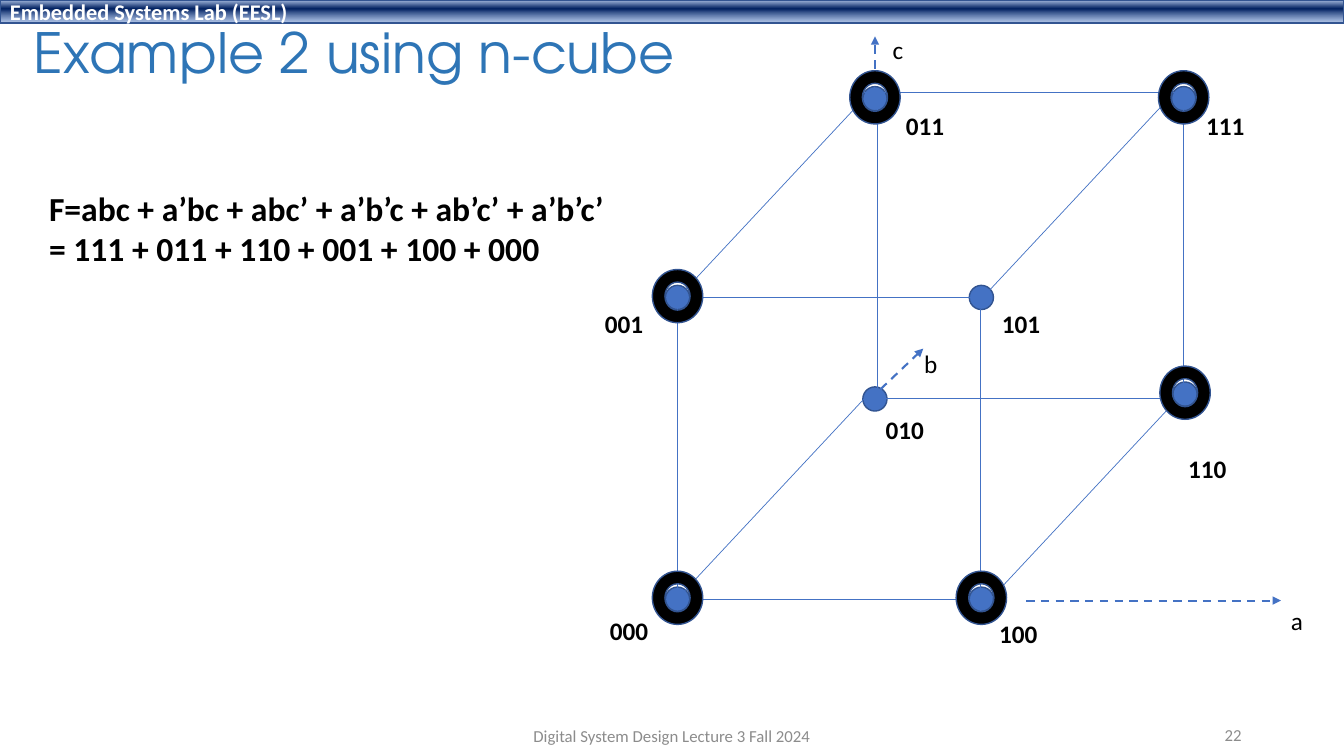
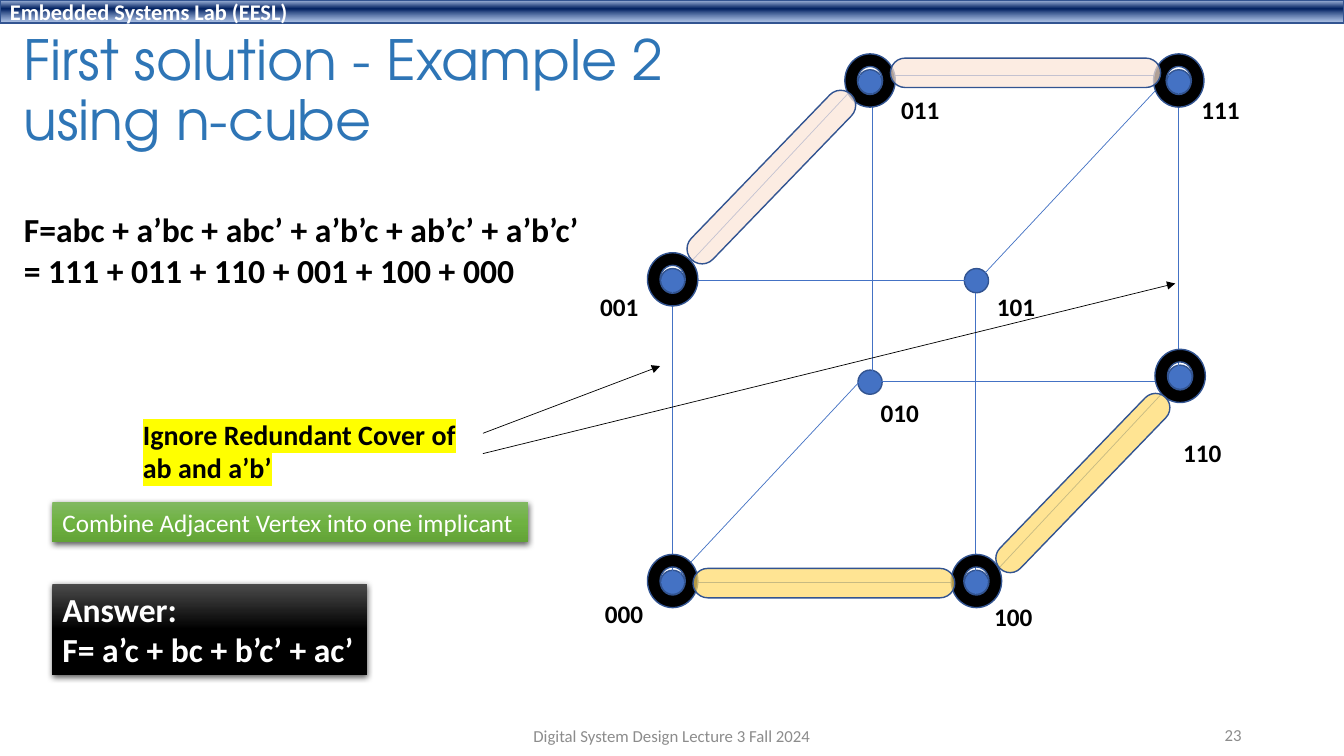
import pptx
import pptx.dml.color
import pptx.enum.dml
import pptx.enum.shapes
import pptx.enum.text
import pptx.oxml.ns
import pptx.util
from lxml import etree

Pt = pptx.util.Pt
qn = pptx.oxml.ns.qn
SHAPE = pptx.enum.shapes.MSO_SHAPE
ALIGN = pptx.enum.text.PP_ALIGN
ANCHOR = pptx.enum.text.MSO_ANCHOR

WIDTH, HEIGHT = 960, 540
BLUE, OUTLINE, TITLE_BLUE, GREY = "4472C4", "325491", "2E75B6", "8C8C8C"
BLACK, WHITE, YELLOW = "000000", "FFFFFF", "FFFF00"
PEACH, GOLD = "FBE5D6", "FFD966"
BODY_FONT, TITLE_FONT = "Calibri", "TeX Gyre Adventor"
BAND_STOPS = [(2, "ABC0E4", 100), (38, "002060", 100), (93, "7E9ED6", 64)]
GREEN_STOPS = [(0, "81B861", 100), (50, "6FB242", 100), (100, "62A336", 100)]
BLACK_STOPS = [(0, "4B4B4B", 100), (50, BLACK, 100), (100, BLACK, 100)]

FORMULA = ["F=abc + a’bc + abc’ + a’b’c + ab’c’ + a’b’c’",
           "= 111 + 011 + 110 + 001 + 100 + 000"]

# Cube geometry, relative to the top left of its box
VERTICES = {  # code: (dot centre, label corner)
    "000": ((59, 378), (3.5, 386)),
    "100": ((276, 378), (281.5, 388)),
    "001": ((59, 162.5), (0, 166.5)),
    "101": ((276, 162.5), (283.5, 166.5)),
    "011": ((200, 20.5), (215, 25.5)),
    "111": ((420.5, 20.5), (429.5, 25.5)),
    "010": ((200, 235), (200.5, 242.5)),
    "110": ((421.5, 231.5), (416.5, 270.5)),
}
MINTERMS = ["001", "000", "100", "110", "111", "011"]
EDGES = [  # (step along the axis, starting points)
    ((233.5, 0), [(50, 162.5), (50, 378), (191.5, 16), (201.5, 234.5)]),
    ((0, 215.5), [(59, 162.5), (275, 171), (201.5, 16), (420.5, 16)]),
    ((-135, 144.5), [(200, 12), (411.5, 18.5), (416.5, 234.5), (193.5, 233.5)]),
]
AXES = {  # name: (arrow start, arrow end, label corner)
    "a": ((308, 379), (490, 379), (490, 379)),
    "c": ((200, -1), (200, -24), (205.5, -29)),
    "b": ((204, 228), (234.5, 199), (228, 195.5)),
}
IMPLICANTS = [  # centre, size, rotation, colour
    ((129.5, 88.5), (164, 21.5), 314, PEACH),
    ((311, 14), (193, 21), 0, PEACH),
    ((352, 307), (170, 20.5), 314, GOLD),
    ((167, 378.5), (187, 21), 0, GOLD),
]


def rgb(color):
    return pptx.dml.color.RGBColor.from_string(color)


def add_color(parent, color, alpha=100):
    element = etree.SubElement(parent, qn("a:srgbClr"), val=color)
    if alpha < 100:
        etree.SubElement(element, qn("a:alpha"), val=str(alpha * 1000))


def write(shape, lines, size=18, color=BLACK, font=BODY_FONT, bold=False, align=ALIGN.LEFT,
          anchor=ANCHOR.TOP, wrap=False, highlight=None, spacing=None):
    frame = shape.text_frame
    frame.word_wrap = wrap
    frame.auto_size = pptx.enum.text.MSO_AUTO_SIZE.NONE
    frame.vertical_anchor = anchor
    for index, line in enumerate(lines):
        paragraph = frame.add_paragraph() if index else frame.paragraphs[0]
        paragraph.alignment = align
        paragraph.line_spacing = spacing
        run = paragraph.add_run()
        run.text = line
        run.font.size, run.font.name, run.font.bold = Pt(size), font, bold
        run.font.color.rgb = rgb(color)
    if highlight:
        for properties in shape.element.iter(qn("a:rPr")):
            marker = etree.Element(qn("a:highlight"))
            add_color(marker, highlight)
            properties.find(qn("a:solidFill")).addnext(marker)


def add_text(slide, left, top, width, height, lines, **formats):
    box = slide.shapes.add_textbox(Pt(left), Pt(top), Pt(width), Pt(height))
    write(box, lines, **formats)


def add_shape(slide, kind, left, top, width, height, fill=None, outline=OUTLINE):
    shape = slide.shapes.add_shape(kind, Pt(left), Pt(top), Pt(width), Pt(height))
    shape.shadow.inherit = False
    if fill:
        shape.fill.solid()
        shape.fill.fore_color.rgb = rgb(fill)
    if outline:
        shape.line.color.rgb = rgb(outline)
        shape.line.width = Pt(1)
    else:
        shape.line.fill.background()
    return shape


def set_gradient(shape, stops):
    shape.fill.gradient()
    shape.fill.gradient_angle = 270
    stop_list = next(shape.element.spPr.iter(qn("a:gsLst")))
    for stop in list(stop_list):
        stop_list.remove(stop)
    for position, color, alpha in stops:
        stop = etree.SubElement(stop_list, qn("a:gs"), pos=str(position * 1000))
        add_color(stop, color, alpha)


def add_line(slide, start, end, color=BLUE, width=0.5, dashed=False, arrow=False):
    line = slide.shapes.add_connector(pptx.enum.shapes.MSO_CONNECTOR.STRAIGHT,
                                      *(Pt(value) for value in (*start, *end)))
    line.line.color.rgb = rgb(color)
    line.line.width = Pt(width)
    if dashed:
        line.line.dash_style = pptx.enum.dml.MSO_LINE.DASH
    properties = line.element.spPr
    if arrow:
        etree.SubElement(properties.find(qn("a:ln")), qn("a:tailEnd"), type="triangle")
    etree.SubElement(properties, qn("a:effectLst"))


def move(point, origin):
    return point[0] + origin[0], point[1] + origin[1]


# Shared parts
def add_band(slide, layout):
    """Draw the top band and hand it to the layout, so that all slides show it."""
    band = add_shape(slide, SHAPE.RECTANGLE, 0, 0, WIDTH, 16.5)
    set_gradient(band, BAND_STOPS)
    write(band, ["Embedded Systems Lab (EESL)"], size=16, color=WHITE, bold=True,
          anchor=ANCHOR.MIDDLE, wrap=True)
    band.element.nvSpPr.cNvPr.set("id", "100")
    layout.element.cSld.spTree.append(band.element)


def add_slide(presentation, layout, title, title_box, number):
    slide = presentation.slides.add_slide(layout)
    heading = slide.shapes.title
    heading.left, heading.top, heading.width, heading.height = (Pt(value) for value in title_box)
    write(heading, [title], size=39.6, color=TITLE_BLUE, font=TITLE_FONT,
          anchor=ANCHOR.MIDDLE, wrap=True, spacing=0.9)
    footer = dict(size=12, color=GREY, anchor=ANCHOR.MIDDLE, wrap=True)
    add_text(slide, 318, 511, 324, 29, ["Digital System Design Lecture 3 Fall 2024"],
             align=ALIGN.CENTER, **footer)
    add_text(slide, 678, 510.5, 216, 29, [str(number)], align=ALIGN.RIGHT, **footer)
    return slide


def add_formula(slide, left, top):
    add_text(slide, left, top, 415, 65.5, FORMULA, size=24, bold=True)


# Cube regions
def add_cube(slide, origin):
    dot, ring_width, ring_height = 17.3, 36, 38
    for center, _ in VERTICES.values():
        x, y = move(center, origin)
        add_shape(slide, SHAPE.OVAL, x - dot / 2, y - dot / 2, dot, dot, BLUE)
    for step, starts in EDGES:
        for start in starts:
            point = move(start, origin)
            add_line(slide, point, move(point, step))
    for code, (_, corner) in VERTICES.items():
        add_text(slide, *move(corner, origin), 42.5, 29, [code], bold=True)
    for code in MINTERMS:
        x, y = move(VERTICES[code][0], origin)
        add_shape(slide, SHAPE.DONUT, x - ring_width / 2, y - 1 - ring_height / 2,
                  ring_width, ring_height, BLACK)


def add_axes(slide, origin):
    for name, (start, end, corner) in AXES.items():
        add_line(slide, move(start, origin), move(end, origin), width=1.5,
                 dashed=True, arrow=True)
        add_text(slide, *move(corner, origin), 23, 29, [name])


def add_implicants(slide, origin):
    for center, (width, height), rotation, color in IMPLICANTS:
        x, y = move(center, origin)
        capsule = add_shape(slide, SHAPE.ROUNDED_RECTANGLE, x - width / 2, y - height / 2,
                            width, height, color)
        capsule.adjustments[0] = 0.5
        capsule.rotation = rotation
        fill_color = capsule.element.spPr.find(qn("a:solidFill"))[0]
        etree.SubElement(fill_color, qn("a:alpha"), val="70000")


# Notes beside the cube
def add_redundant_note(slide, left, top):
    add_text(slide, left, top, 240, 55.5, ["Ignore Redundant Cover of", "ab and a’b’"],
             size=20, bold=True, highlight=YELLOW)
    for start, end in [((250, 15), (376.5, -33)), ((250, 29.5), (744.5, -92))]:
        add_line(slide, move(start, (left, top)), move(end, (left, top)), BLACK, arrow=True)


def add_callout(slide, left, top, width, height, lines, stops, **formats):
    callout = add_shape(slide, SHAPE.RECTANGLE, left, top, width, height, outline=None)
    set_gradient(callout, stops)
    shadow = etree.SubElement(callout.element.spPr.find(qn("a:effectLst")), qn("a:outerShdw"),
                              blurRad=str(Pt(4.5)), dist=str(Pt(1.5)), dir="5400000",
                              algn="ctr", rotWithShape="0")
    add_color(shadow, BLACK, 63)
    write(callout, lines, color=WHITE, **formats)


def main():
    presentation = pptx.Presentation()
    presentation.slide_width, presentation.slide_height = Pt(WIDTH), Pt(HEIGHT)
    layout = presentation.slide_layouts[5]

    # Example
    slide = add_slide(presentation, layout, "Example 2 using n-cube", (17, -3.5, 481, 86.5), 22)
    add_band(slide, layout)
    add_formula(slide, 28, 130.5)
    cube_origin = (425, 50)
    add_cube(slide, cube_origin)
    add_axes(slide, cube_origin)

    # First solution
    slide = add_slide(presentation, layout, "First solution - Example 2 using n-cube",
                      (9.5, 23, 485, 86.5), 23)
    add_formula(slide, 10, 146)
    cube_origin = (421.5, 38)
    add_cube(slide, cube_origin)
    add_implicants(slide, cube_origin)
    add_redundant_note(slide, 95, 294.5)
    add_callout(slide, 37.5, 417, 225, 65.5, ["Answer:", "F= a’c + bc + b’c’ + ac’"],
                BLACK_STOPS, size=24, bold=True)
    add_callout(slide, 37.5, 358.5, 340, 29, ["Combine Adjacent Vertex into one implicant"],
                GREEN_STOPS)

    presentation.save("out.pptx")


if __name__ == "__main__":
    main()
